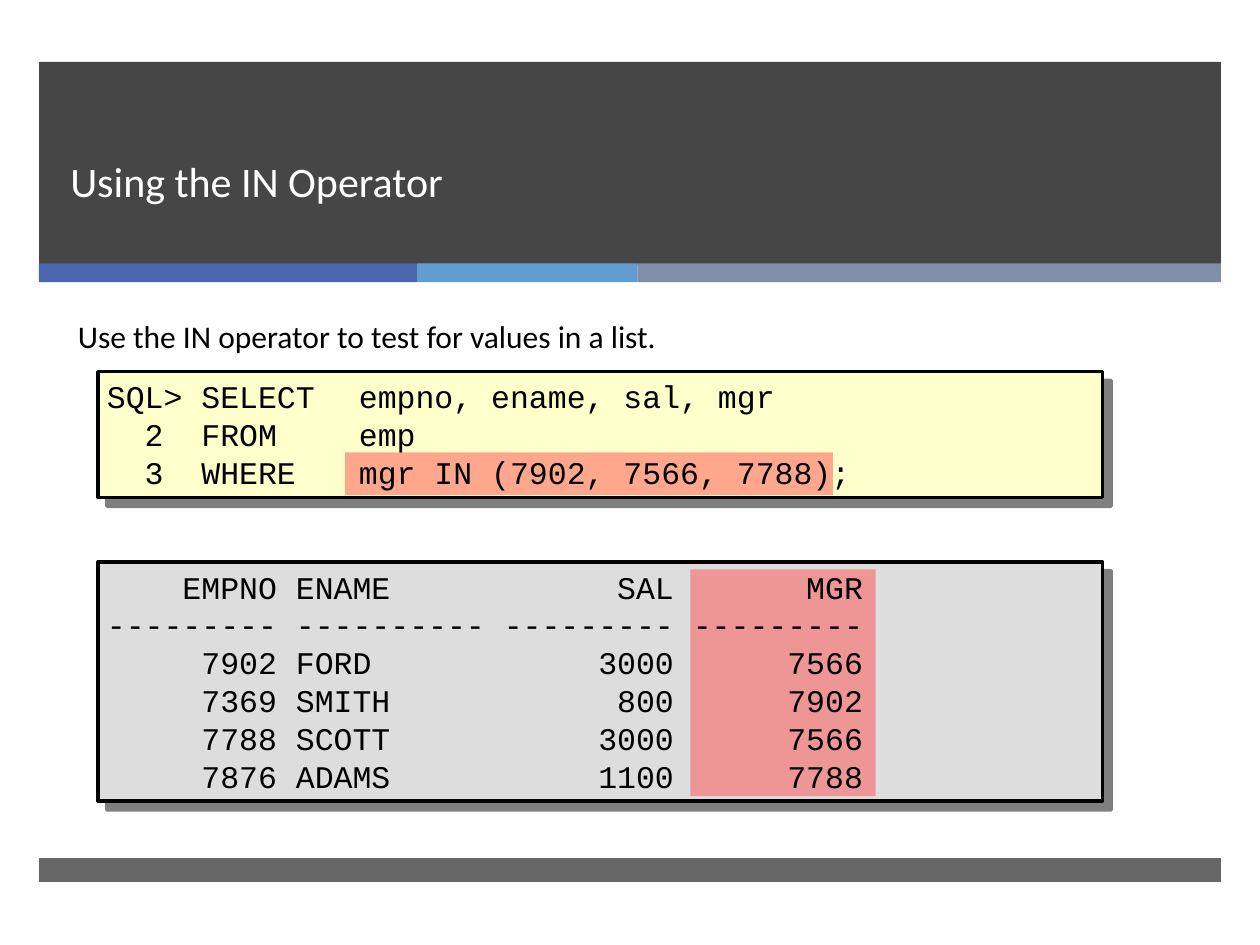
from lxml import etree
from pptx import Presentation
from pptx.dml.color import RGBColor
from pptx.enum.shapes import MSO_SHAPE
from pptx.enum.text import MSO_ANCHOR
from pptx.oxml.ns import qn
from pptx.util import Inches, Pt

RECT = MSO_SHAPE.RECTANGLE
TOP, MIDDLE, BOTTOM = MSO_ANCHOR.TOP, MSO_ANCHOR.MIDDLE, MSO_ANCHOR.BOTTOM

BLACK = RGBColor(0x00, 0x00, 0x00)
WHITE = RGBColor(0xFF, 0xFF, 0xFF)
CHARCOAL = RGBColor(0x26, 0x26, 0x26)
ACCENTS = [
    (3, RGBColor(0x4A, 0x66, 0xAC)),
    (1.75, RGBColor(0x62, 0x9D, 0xD1)),
    (4.63, RGBColor(0x7F, 0x8F, 0xA9)),
]
CREAM = RGBColor(0xFF, 0xFF, 0xCC)
GRAY = RGBColor(0xDD, 0xDD, 0xDD)
RED = RGBColor(0xFF, 0x50, 0x50)

QUERY = [
    "SQL> SELECT\tempno, ename, sal, mgr",
    "  2  FROM \temp",
    "  3  WHERE\tmgr IN (7902, 7566, 7788);",
]
RESULT = [
    "    EMPNO ENAME            SAL       MGR",
    "--------- ---------- --------- ---------",
    "     7902 FORD            3000      7566",
    "     7369 SMITH            800      7902",
    "     7788 SCOTT           3000      7566",
    "     7876 ADAMS           1100      7788",
]


def add_rect(s, box, color, opacity=100):
    sp = s.shapes.add_shape(RECT, *map(Inches, box))
    sp.shadow.inherit = False
    sp.fill.solid()
    sp.fill.fore_color.rgb = color
    sp.line.fill.background()
    if opacity < 100:
        clr = sp.fill._xPr.find(".//" + qn("a:srgbClr"))
        etree.SubElement(clr, qn("a:alpha"), val=str(opacity * 1000))
    return sp


def add_shadow(sp):
    effects = sp._element.spPr.find(qn("a:effectLst"))
    shadow = etree.SubElement(effects, qn("a:outerShdw"), blurRad="0",
                              dist=str(Pt(7.1)), dir="2700000",
                              algn="ctr", rotWithShape="0")
    clr = etree.SubElement(shadow, qn("a:srgbClr"), val=str(BLACK))
    etree.SubElement(clr, qn("a:alpha"), val="50000")


def add_text(s, box, lines, font="Calibri", size=18, color=BLACK,
             anchor=TOP, wrap=True, spacing=None, tab=None):
    tf = s.shapes.add_textbox(*map(Inches, box)).text_frame
    tf.word_wrap = wrap
    tf.vertical_anchor = anchor
    for i, line in enumerate(lines):
        p = tf.paragraphs[0] if i == 0 else tf.add_paragraph()
        if spacing:
            p.line_spacing = Pt(spacing)
        if tab:
            tabs = etree.SubElement(p._p.get_or_add_pPr(), qn("a:tabLst"))
            etree.SubElement(tabs, qn("a:tab"), pos=str(Inches(tab)), algn="l")
        r = p.add_run()
        r.text = line
        r.font.name = font
        r.font.size = Pt(size)
        r.font.color.rgb = color


def add_header(s, box, title):
    x, y, w, h = box
    add_rect(s, box, CHARCOAL, 85)
    left = x
    for width, color in ACCENTS:
        add_rect(s, (left, y + h - 0.01, width, 0.15), color)
        left += width
    add_text(s, (x + 0.15, y, w - 0.84, 1.19), [title], size=24,
             color=WHITE, anchor=BOTTOM, spacing=46)


def add_code_panel(s, box, lines, color, highlight):
    x, y, w, h = box
    panel = add_rect(s, box, color)
    panel.line.color.rgb = BLACK
    panel.line.width = Pt(2)
    add_shadow(panel)
    dx, dy, hw, hh = highlight
    add_rect(s, (x + dx, y + dy, hw, hh), RED, 50)
    add_text(s, (x - 0.03, y - 0.02, w + 0.03, h + 0.03), lines,
             font="Courier New", anchor=MIDDLE, spacing=21.6, tab=2)


def main():
    prs = Presentation()
    prs.slide_width, prs.slide_height = Inches(10), Inches(7.5)
    s = prs.slides.add_slide(prs.slide_layouts[6])
    add_header(s, (0.31, 0.49, 9.38, 1.61), "Using the IN Operator")
    add_rect(s, (0.31, 6.81, 9.38, 0.19), CHARCOAL, 70)
    add_text(s, (0.52, 2.47, 4.84, 0.4),
             ["Use the IN operator to test for values in a list."], wrap=False)
    add_code_panel(s, (0.78, 2.95, 7.97, 1), QUERY, CREAM,
                   (1.96, 0.64, 3.87, 0.34))
    add_code_panel(s, (0.78, 4.46, 7.97, 1.9), RESULT, GRAY,
                   (4.7, 0.06, 1.47, 1.8))
    prs.save("out.pptx")


if __name__ == "__main__":
    main()
